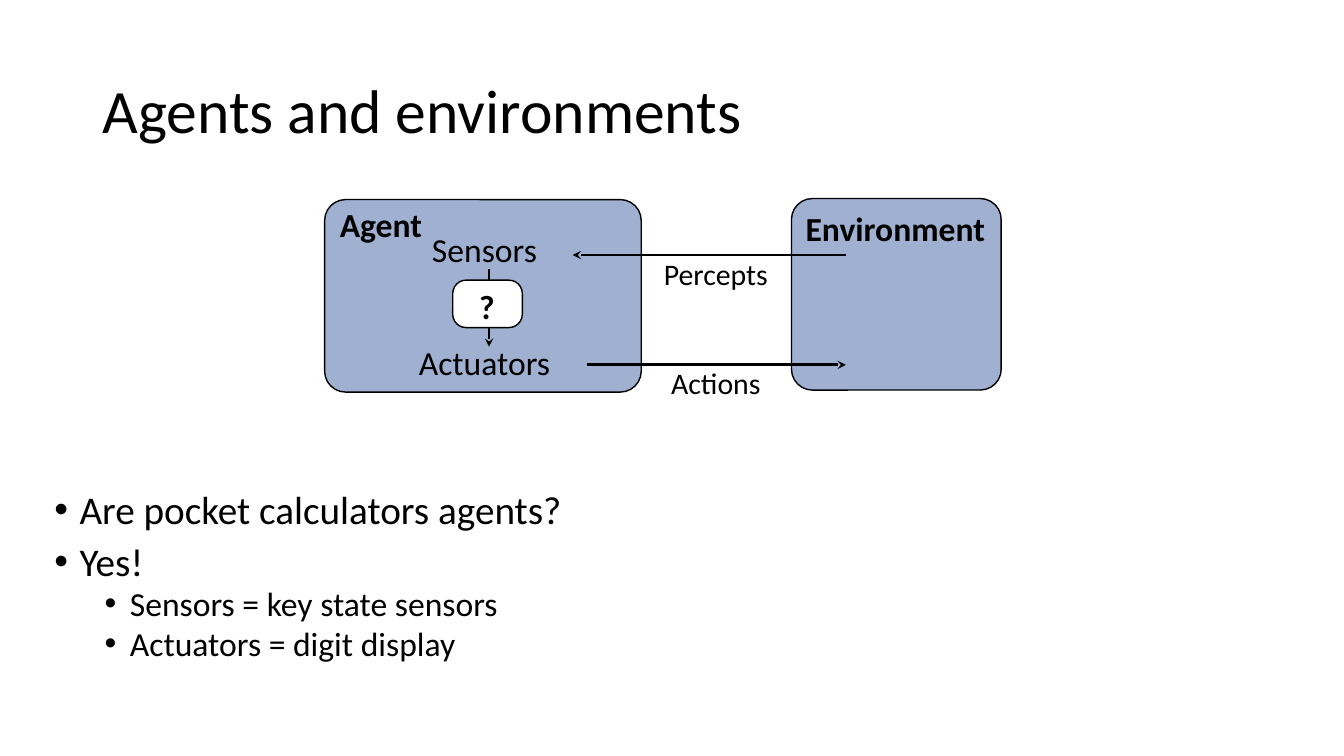
from lxml import etree
from pptx import Presentation
from pptx.dml.color import RGBColor
from pptx.enum.shapes import MSO_CONNECTOR, MSO_SHAPE
from pptx.enum.text import MSO_ANCHOR, PP_ALIGN
from pptx.oxml.ns import qn
from pptx.util import Inches, Pt

LEFT, CENTER = PP_ALIGN.LEFT, PP_ALIGN.CENTER
TOP, MIDDLE = MSO_ANCHOR.TOP, MSO_ANCHOR.MIDDLE
ROUNDED = MSO_SHAPE.ROUNDED_RECTANGLE
STRAIGHT = MSO_CONNECTOR.STRAIGHT
FONT, BLACK, WHITE, PANEL = "Calibri", "000000", "FFFFFF", "9FB0D1"


def color(value):
    return RGBColor.from_string(value)


def add_paragraph(p, text, size, bold=False, align=LEFT, spacing=1.0,
                  before=0, indent=0, hanging=0, bullet=None):
    p.alignment, p.line_spacing, p.space_before = align, spacing, Pt(before)
    pPr = p._p.get_or_add_pPr()
    pPr.set("marL", str(Inches(indent)))
    pPr.set("indent", str(-Inches(hanging)))
    if bullet:
        etree.SubElement(pPr, qn("a:buFont")).set("typeface", "Arial")
        etree.SubElement(pPr, qn("a:buChar")).set("char", bullet)
    r = p.add_run()
    r.text = text
    r.font.name, r.font.size, r.font.bold = FONT, Pt(size), bold
    r.font.color.rgb = color(BLACK)


def add_frame(s, box, insets=(0.1, 0.05, 0.1, 0.05), anchor=TOP):
    tf = s.shapes.add_textbox(*map(Inches, box)).text_frame
    tf.word_wrap, tf.vertical_anchor = True, anchor
    (tf.margin_left, tf.margin_top,
     tf.margin_right, tf.margin_bottom) = map(Inches, insets)
    return tf


def add_label(s, text, box, size=24, bold=False, align=CENTER, right=0.04):
    tf = add_frame(s, box, insets=(0, 0, right, 0))
    add_paragraph(tf.paragraphs[0], text, size, bold=bold, align=align, indent=0.04)


def add_panel(s, box, fill=PANEL, rounding=0.109):
    sp = s.shapes.add_shape(ROUNDED, *map(Inches, box))
    sp.adjustments[0] = rounding
    sp.shadow.inherit = False
    sp.fill.solid()
    sp.fill.fore_color.rgb = color(fill)
    sp.line.color.rgb = color(BLACK)
    sp.line.width = Pt(1)


def add_arrow(s, start, tip):
    line = s.shapes.add_connector(STRAIGHT, *map(Inches, (*start, *tip)))
    line.line.color.rgb = color(BLACK)
    line.line.width = Pt(2)
    etree.SubElement(line.line._get_or_add_ln(), qn("a:tailEnd")).set("type", "stealth")
    etree.SubElement(line._element.spPr, qn("a:effectLst"))


def add_title(s, box, text):
    tf = add_frame(s, box, anchor=MIDDLE)
    add_paragraph(tf.paragraphs[0], text, 44, spacing=0.9)


def add_agent(s, box):
    x, y, _, _ = box
    add_panel(s, box)
    add_arrow(s, (x + 1.63, y + 0.69), (x + 1.63, y + 1.46))
    add_label(s, "Agent", (x + 0.11, y + 0.04, 1.15, 0.51), bold=True, align=LEFT)
    add_panel(s, (x + 1.27, y + 0.8, 0.69, 0.47), fill=WHITE, rounding=0.281)
    add_label(s, "?", (x + 1.5, y + 0.86, 0.24, 0.41), bold=True, right=0.06)
    add_label(s, "Sensors", (x + 0.88, y + 0.29, 1.43, 0.53), right=0.06)
    add_label(s, "Actuators", (x + 0.79, y + 1.41, 1.61, 0.43), right=0.06)


def add_environment(s, box):
    x, y, w, _ = box
    add_panel(s, box)
    add_label(s, "Environment", (x - 0.15, y + 0.09, w + 0.28, 0.51), bold=True)


def add_exchange(s, box):
    """Percepts flow left along the top of the box, actions right along its bottom."""
    x, y, w, h = box
    right, bottom = x + w, y + h
    add_arrow(s, (right, y), (x, y))
    add_arrow(s, (x + 0.14, bottom), (right, bottom))
    add_label(s, "Percepts", (x + 0.73, y + 0.01, 1.38, 0.39), size=21.3)
    add_label(s, "Actions", (x + 0.83, bottom, 1.18, 0.44), size=21.3)


def add_bullets(s, box, items):
    tf = add_frame(s, box)
    for i, (level, text) in enumerate(items):
        p = tf.add_paragraph() if i else tf.paragraphs[0]
        p.level = level
        add_paragraph(p, text, 28 - 4 * level, spacing=0.8, before=10 - 5 * level,
                      indent=0.25 + 0.5 * level, hanging=0.25, bullet="•")


def main():
    prs = Presentation()
    prs.slide_width, prs.slide_height = Inches(13.33), Inches(7.5)
    s = prs.slides.add_slide(prs.slide_layouts[6])
    add_title(s, (0.92, 0.4, 11.5, 1.45), "Agents and environments")
    add_bullets(s, (0.44, 4.86, 12.89, 1.84), [
        (0, "Are pocket calculators agents?"),
        (0, "Yes!"),
        (1, "Sensors = key state sensors"),
        (1, "Actuators = digit display"),
    ])
    add_agent(s, (3.22, 1.98, 3.14, 1.91))
    add_environment(s, (7.85, 1.97, 2.08, 1.9))
    add_exchange(s, (5.68, 2.53, 2.71, 1.09))
    prs.save("out.pptx")


if __name__ == "__main__":
    main()
